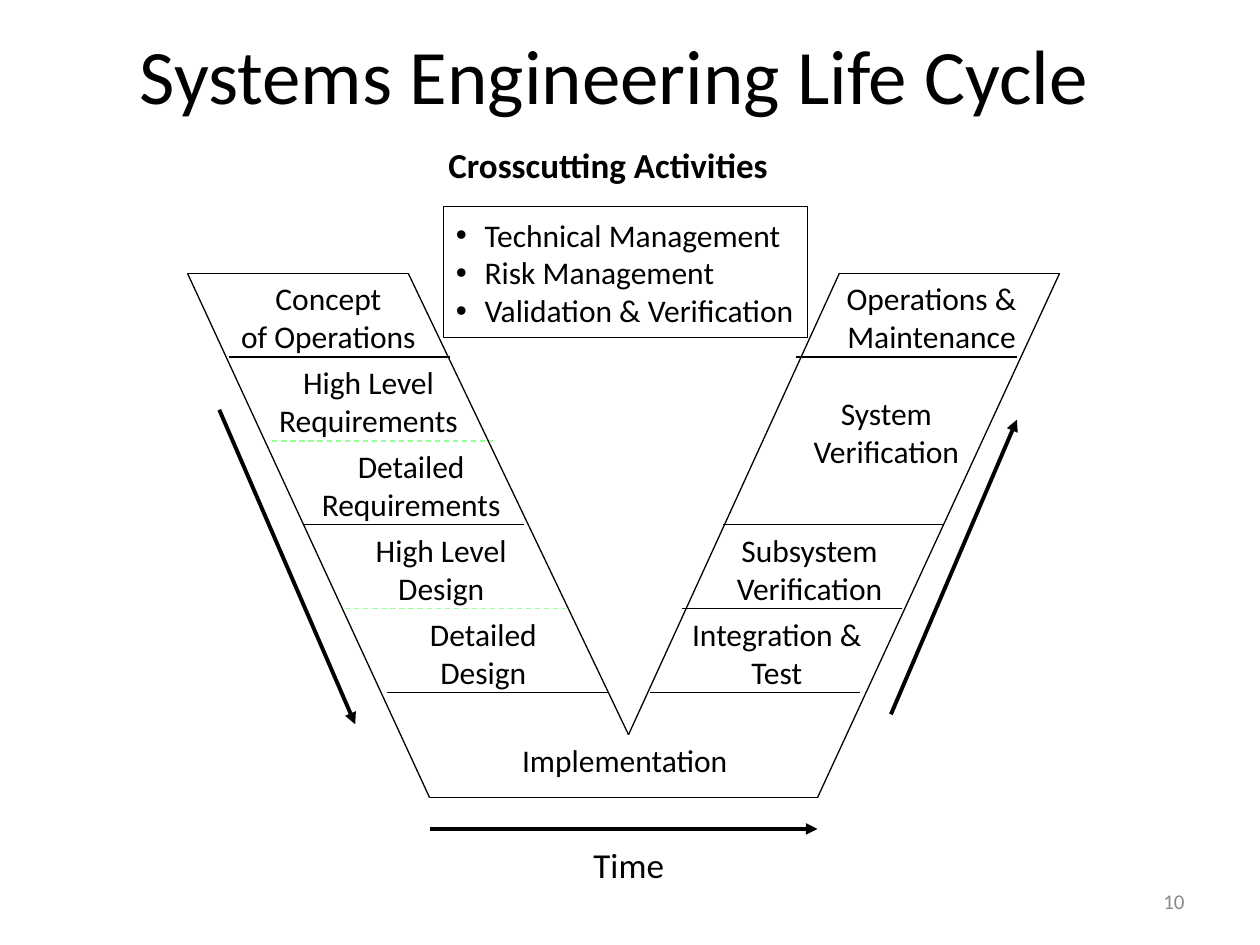
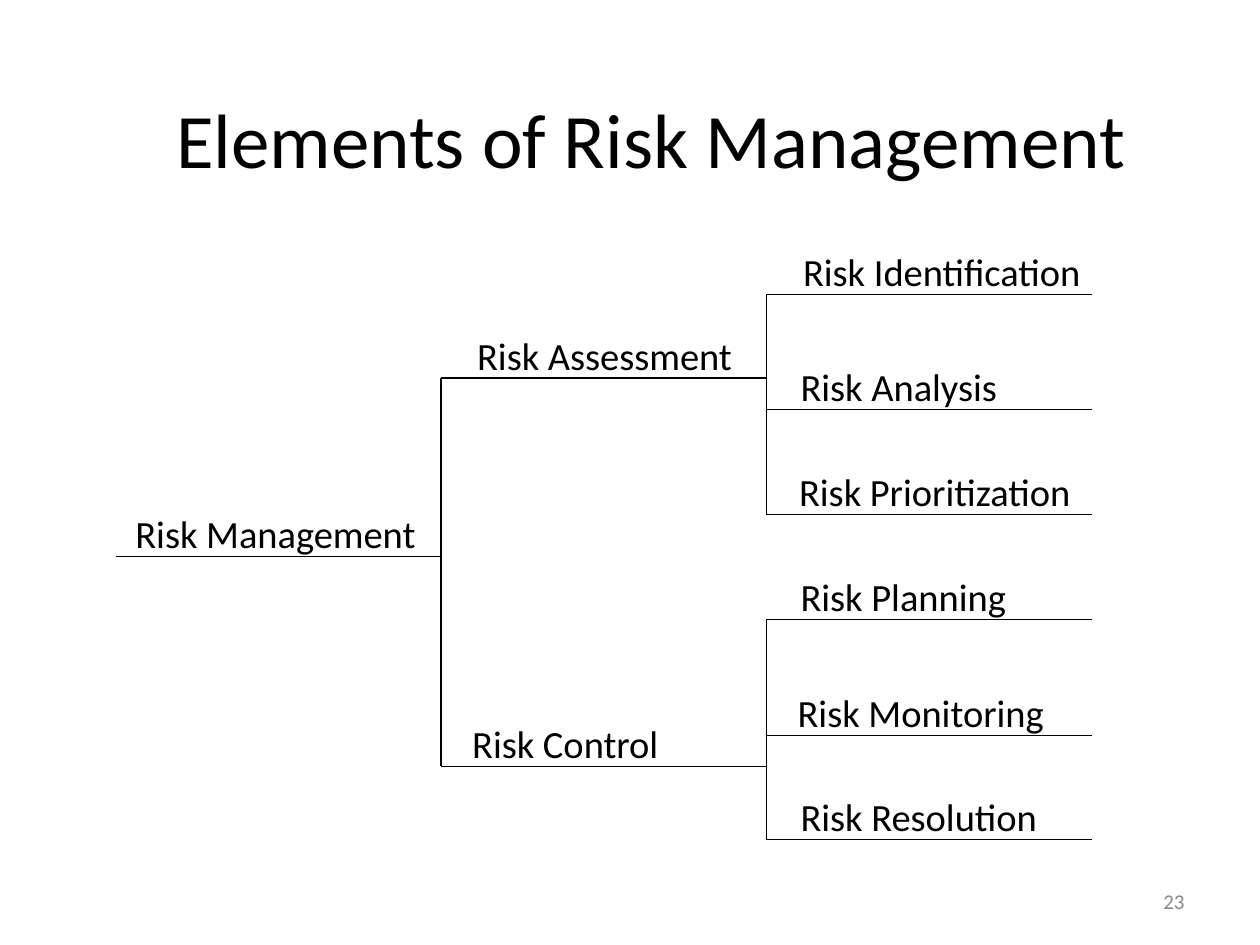
from dataclasses import dataclass

from lxml import etree
from pptx import Presentation
from pptx import util as u
from pptx.dml.color import RGBColor
from pptx.enum import dml, shapes, text
from pptx.oxml.ns import qn


@dataclass(frozen=True)
class Theme:
    font: str = "Calibri"
    ink: str = "000000"
    divider: str = "99FF99"
    muted: str = "898989"
    title: int = 44
    branch: int = 22
    heading: int = 20
    body: int = 18
    number: int = 12
    thin: float = 0.75
    thick: float = 2.25


LEFT, CENTER, RIGHT = text.PP_ALIGN.LEFT, text.PP_ALIGN.CENTER, text.PP_ALIGN.RIGHT


def apply_format(target, values):
    for name, value in values.items():
        setattr(target, name, value)


class Deck:
    """Holds the theme and the slide being drawn."""

    def __init__(self, theme):
        self.theme = theme
        self.presentation = Presentation()
        self.presentation.slide_width = u.Cm(25.4)
        self.presentation.slide_height = u.Cm(19.05)
        self.slide = None

    def new_slide(self, title, title_box, number):
        blank = self.presentation.slide_layouts[6]
        self.slide = self.presentation.slides.add_slide(blank)
        middle = {"word_wrap": True, "vertical_anchor": text.MSO_ANCHOR.MIDDLE}
        self.label([title], title_box, size=self.theme.title, frame=middle)
        self.label([number], (18.21, 17.65, 5.92, 1.02), size=self.theme.number,
                   color=self.theme.muted, align=RIGHT, frame=middle)

    def fill_text(self, frame, lines, size, color, align, bold=False):
        for index, line in enumerate(lines):
            paragraph = frame.paragraphs[0] if index == 0 else frame.add_paragraph()
            paragraph.alignment = align
            run = paragraph.add_run()
            run.text = line
            apply_format(run.font, {"name": self.theme.font, "size": u.Pt(size), "bold": bold})
            run.font.color.rgb = RGBColor.from_string(color)

    def label(self, lines, box, size=None, color=None, align=CENTER, bold=False, frame=None):
        shape = self.slide.shapes.add_textbox(*map(u.Cm, box))
        fitted = {"word_wrap": False, "auto_size": text.MSO_AUTO_SIZE.SHAPE_TO_FIT_TEXT}
        apply_format(shape.text_frame, frame or fitted)
        self.fill_text(shape.text_frame, lines, size or self.theme.body,
                       color or self.theme.ink, align, bold)

    def bullet_box(self, lines, box, indent):
        shape = self.slide.shapes.add_shape(shapes.MSO_SHAPE.RECTANGLE, *map(u.Cm, box))
        shape.shadow.inherit = False
        shape.fill.background()
        shape.line.color.rgb = RGBColor.from_string(self.theme.ink)
        shape.line.width = u.Pt(self.theme.thin)
        apply_format(shape.text_frame, {"word_wrap": True,
                                        "vertical_anchor": text.MSO_ANCHOR.MIDDLE})
        self.fill_text(shape.text_frame, lines, self.theme.body, self.theme.ink, LEFT)
        for paragraph in shape.text_frame.paragraphs:
            properties = paragraph._p.get_or_add_pPr()
            properties.set("marL", str(u.Cm(indent)))
            properties.set("indent", str(-u.Cm(indent)))
            etree.SubElement(properties, qn("a:buFont"), typeface="Arial")
            etree.SubElement(properties, qn("a:buChar"), char="•")

    def line(self, start, end, dashed=False, arrow=False):
        connector = self.slide.shapes.add_connector(
            shapes.MSO_CONNECTOR.STRAIGHT, *map(u.Cm, (*start, *end)))
        color = self.theme.divider if dashed else self.theme.ink
        connector.line.color.rgb = RGBColor.from_string(color)
        connector.line.width = u.Pt(self.theme.thick if arrow else self.theme.thin)
        if dashed:
            connector.line.dash_style = dml.MSO_LINE.DASH
        if arrow:
            etree.SubElement(connector.line._get_or_add_ln(), qn("a:tailEnd"), type="triangle")
        etree.SubElement(connector._element.spPr, qn("a:effectLst"))


def draw_life_cycle(deck):
    deck.new_slide("Systems Engineering Life Cycle", (2.51, 0.43, 19.76, 2.13), "10")
    top, bottom, notch = 5.51, 16.08, (12.67, 14.81)
    row_height, band_width = 1.69, 4.45

    def row(index):
        return top + index * row_height

    # Outline of the V
    outer_left, outer_right = (3.78, top), (21.36, top)
    inner_left, inner_right = (8.23, top), (16.92, top)
    base_left, base_right = (8.66, bottom), (16.48, bottom)
    for start, end in [(outer_left, base_left), (inner_left, notch),
                       (outer_left, inner_left), (base_left, base_right),
                       (inner_right, notch), (outer_right, base_right),
                       (inner_right, outer_right)]:
        deck.line(start, end)

    # Dividers: row, left end, width, dashed
    for index, x, width, dashed in [
            (1, 4.62, band_width, False), (2, 5.49, band_width, True),
            (3, 6.12, band_width, False), (4, 6.96, band_width, True),
            (5, 7.8, band_width, False), (1, 16.05, band_width, False),
            (3, 14.58, band_width, False), (4, 13.74, band_width, False),
            (5, 13.11, 4.22, False)]:
        deck.line((x, row(index)), (x + width, row(index)), dashed=dashed)

    # Direction of time
    for start, end in [((4.42, 8.26), (7.16, 14.6)), ((17.96, 14.4), (20.5, 8.46)),
                       ((8.66, 16.71), (16.48, 16.71))]:
        deck.line(start, end, arrow=True)
    deck.label(["Time"], (11.71, 16.87, 1.93, 1.12), size=deck.theme.heading)

    # Stages: lines, left, top, width
    for lines, x, y, width in [
            (["Concept", "of Operations"], 4.6, row(0), 4.04),
            (["High Level", "Requirements"], 5.36, row(1), 4.14),
            (["Detailed", "Requirements"], 6.22, row(2), 4.14),
            (["High Level", "Design"], 7.32, row(3), 3.15),
            (["Detailed", "Design"], 8.41, row(4), 2.67),
            (["Operations &", "Maintenance"], 16.81, row(0), 3.94),
            (["System", "Verification"], 16.13, 7.82, 3.48),
            (["Subsystem", "Verification"], 14.58, row(3), 3.48),
            (["Integration &", "Test"], 13.69, row(4), 3.94)]:
        deck.label(lines, (x, y, width, 1.78))
    deck.label(["Implementation"], (10.26, notch[1], 4.67, 1.02))

    # Crosscutting activities
    deck.label(["Crosscutting Activities"], (8.13, 2.77, 8.26, 1.12),
               size=deck.theme.heading, bold=True)
    deck.bullet_box(["Technical Management", "Risk Management", "Validation & Verification"],
                    (8.94, 4.17, 7.34, 2.64), indent=0.58)


# Each node: name, line height on the slide, text offset, text width, children
RISK_TREE = ("Risk Management", 11.22, 0.15, 6.17, [
    ("Risk Assessment", 7.62, 0.48, 5.64, [
        ("Risk Identification", 5.93, 0.49, 6.12, []),
        ("Risk Analysis", 8.26, 0.44, 4.47, []),
        ("Risk Prioritization", 10.37, 0.41, 5.99, [])]),
    ("Risk Control", 15.45, 0.38, 4.27, [
        ("Risk Planning", 12.49, 0.44, 4.65, []),
        ("Risk Monitoring", 14.82, 0.38, 5.49, []),
        ("Risk Resolution", 16.93, 0.44, 5.28, [])])])


def draw_branch(deck, node, level=0):
    name, y, offset, width, children = node
    branch_length = 6.56
    x = 2.33 + level * branch_length
    end = x + branch_length
    deck.line((x, y), (end, y))
    deck.label([name], (x + offset, y - 1.06, width, 1.19),
               size=deck.theme.branch, align=LEFT)
    if children:
        deck.line((end, children[0][1]), (end, children[-1][1]))
    for child in children:
        draw_branch(deck, child, level + 1)


def main():
    deck = Deck(Theme())
    draw_life_cycle(deck)
    deck.new_slide("Elements of Risk Management", (1.7, 1.19, 22.86, 3.18), "23")
    draw_branch(deck, RISK_TREE)
    deck.presentation.save("out.pptx")


if __name__ == "__main__":
    main()
